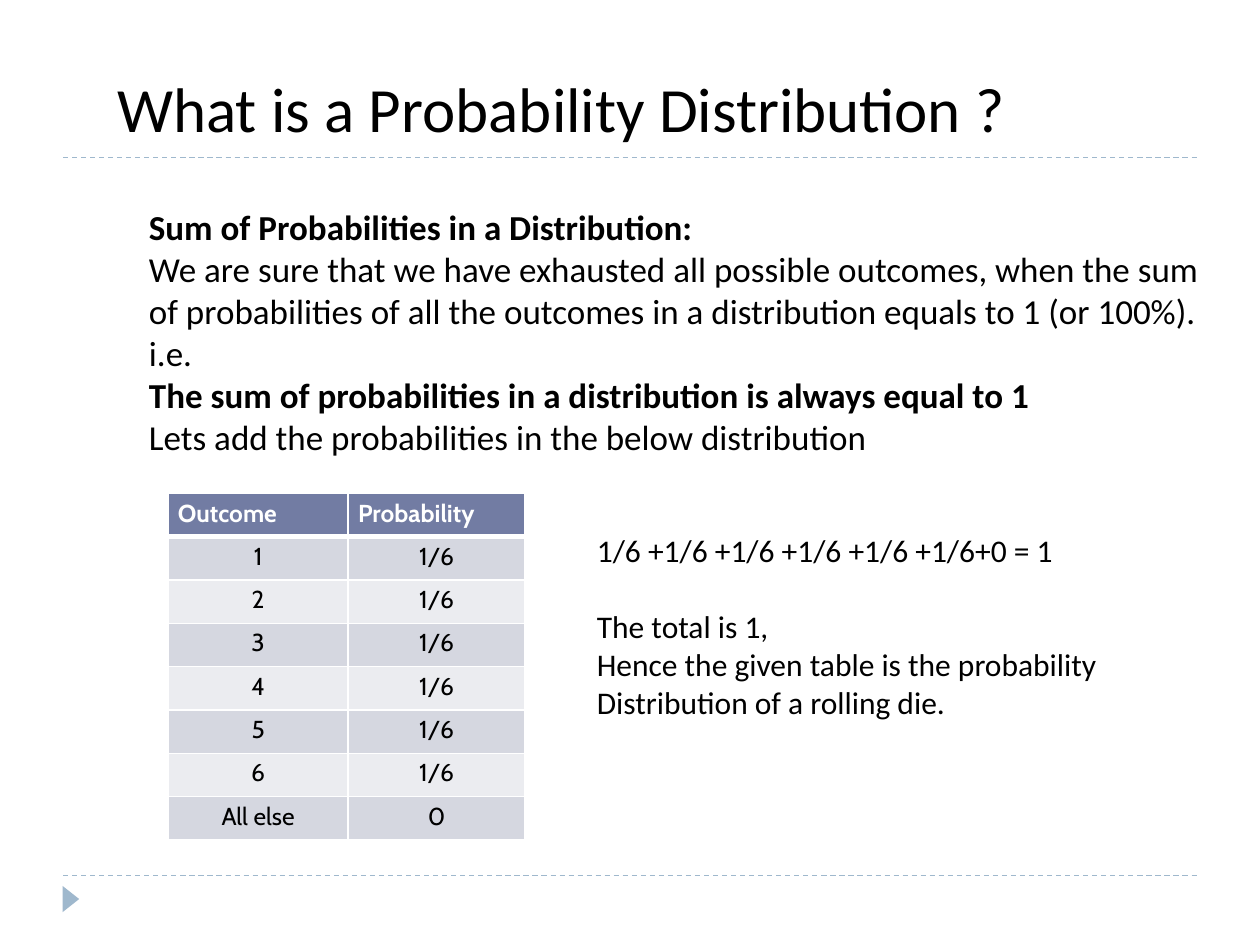
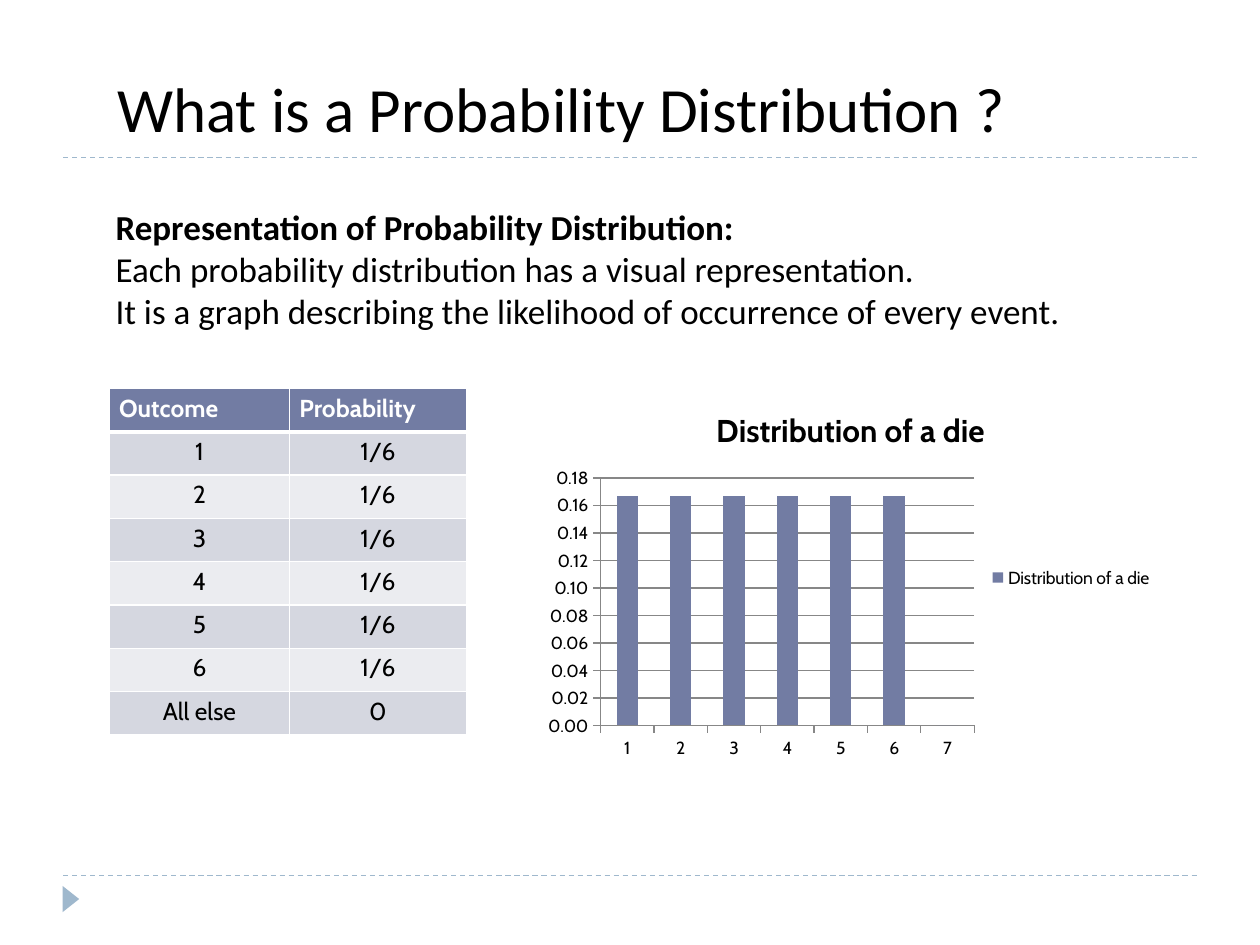
import dataclasses
import typing

import lxml.etree
import pptx
import pptx.chart.data
import pptx.dml.color
import pptx.enum.chart
import pptx.enum.dml
import pptx.enum.shapes
import pptx.enum.text
import pptx.oxml.ns
import pptx.util

Pt = pptx.util.Pt
ALIGN = pptx.enum.text.PP_ALIGN

# Shared look
BLACK, WHITE = "000000", "FFFFFF"
ACCENT, RULE, GRID = "727CA3", "9FB8CD", "878787"
BANDS = ("D5D7E0", "EBECF0")
TEXT_FONT, DATA_FONT = "Calibri", "Cabin"
TITLE = "What is a Probability Distribution ?"
RULE_TOPS = (500.4, 90)

OUTCOMES = [("Outcome", "Probability"),
            *((str(face), "1/6") for face in range(1, 7)),
            ("All else", "0")]
COLUMN_WIDTHS = (103, 101)
ROW_HEIGHT = 24.75


@dataclasses.dataclass(frozen=True)
class Line:
    text: str
    bold: bool = False
    space_before: float = 0


@dataclasses.dataclass(frozen=True)
class TextBlock:
    left: float
    top: float
    width: float
    height: float
    size: float
    lines: tuple[Line, ...]
    align: typing.Any = ALIGN.LEFT


def rgb(value: str) -> pptx.dml.color.RGBColor:
    return pptx.dml.color.RGBColor.from_string(value)


def apply_format(target: typing.Any, values: dict[str, typing.Any]) -> None:
    for name, value in values.items():
        setattr(target, name, value)


def set_font(font: typing.Any, name: str, size: float,
             color: str = BLACK, bold: bool = False) -> None:
    apply_format(font, {"name": name, "size": Pt(size), "bold": bold})
    font.color.rgb = rgb(color)


def set_fill(fill: typing.Any, color: str) -> None:
    fill.solid()
    fill.fore_color.rgb = rgb(color)


def set_line(line: typing.Any, color: str, width: float) -> None:
    line.color.rgb = rgb(color)
    line.width = Pt(width)


def draw_text(slide: typing.Any, block: TextBlock) -> None:
    box = slide.shapes.add_textbox(Pt(block.left), Pt(block.top),
                                   Pt(block.width), Pt(block.height))
    frame = box.text_frame
    apply_format(frame, {"word_wrap": True,
                         "auto_size": pptx.enum.text.MSO_AUTO_SIZE.SHAPE_TO_FIT_TEXT})
    for index, line in enumerate(block.lines):
        paragraph = frame.add_paragraph() if index else frame.paragraphs[0]
        paragraph.alignment = block.align
        if line.space_before:
            paragraph.space_before = Pt(line.space_before)
        run = paragraph.add_run()
        run.text = line.text
        set_font(run.font, TEXT_FONT, block.size, bold=line.bold)


def draw_frame(slide: typing.Any) -> None:
    # Dashed rules, corner marker and title
    for top in RULE_TOPS:
        rule = slide.shapes.add_connector(pptx.enum.shapes.MSO_CONNECTOR.STRAIGHT,
                                          Pt(36), Pt(top), Pt(684), Pt(top))
        set_line(rule.line, RULE, 0.75)
        rule.line.dash_style = pptx.enum.dml.MSO_LINE.DASH
        lxml.etree.SubElement(rule.element.spPr, pptx.oxml.ns.qn("a:effectLst"))
    marker = slide.shapes.add_shape(pptx.enum.shapes.MSO_SHAPE.ISOSCELES_TRIANGLE,
                                    Pt(33), Pt(509), Pt(15), Pt(9.5))
    marker.rotation = 90
    marker.shadow.inherit = False
    set_fill(marker.fill, RULE)
    marker.line.fill.background()
    draw_text(slide, TextBlock(60, 36, 526, 51, 36, (Line(TITLE),)))


def set_borders(cell: typing.Any, widths: dict[str, float]) -> None:
    qn = pptx.oxml.ns.qn
    properties = cell._tc.get_or_add_tcPr()
    for index, (side, width) in enumerate(widths.items()):
        border = lxml.etree.Element(qn(f"a:{side}"), w=str(int(Pt(width))))
        solid = lxml.etree.SubElement(border, qn("a:solidFill"))
        lxml.etree.SubElement(solid, qn("a:srgbClr"), val=WHITE)
        properties.insert(index, border)


def draw_outcomes(slide: typing.Any, left: float, top: float) -> None:
    table = slide.shapes.add_table(len(OUTCOMES), len(COLUMN_WIDTHS), Pt(left), Pt(top),
                                   Pt(sum(COLUMN_WIDTHS)),
                                   Pt(ROW_HEIGHT * len(OUTCOMES))).table
    for column, width in zip(table.columns, COLUMN_WIDTHS):
        column.width = Pt(width)
    for row_index, row in enumerate(OUTCOMES):
        header = row_index == 0
        table.rows[row_index].height = Pt(ROW_HEIGHT)
        for column_index, text in enumerate(row):
            cell = table.cell(row_index, column_index)
            apply_format(cell, {"text": text, "margin_left": Pt(5.6), "margin_right": Pt(5.6),
                                "margin_top": Pt(2.8), "margin_bottom": Pt(2.8)})
            paragraph = cell.text_frame.paragraphs[0]
            paragraph.alignment = ALIGN.LEFT if header else ALIGN.CENTER
            set_font(paragraph.runs[0].font, DATA_FONT, 14, WHITE if header else BLACK, header)
            set_fill(cell.fill, ACCENT if header else BANDS[(row_index - 1) % 2])
            set_borders(cell, {"lnL": 1, "lnR": 1, "lnT": 3 if row_index == 1 else 1,
                               "lnB": 3 if header else 1})


def draw_die_chart(slide: typing.Any) -> None:
    name = "Distribution of a die"
    data = pptx.chart.data.CategoryChartData(number_format="0.00")
    data.categories = [str(position) for position in range(1, 8)]
    data.add_series(name, [0.167] * 6 + [0])
    chart = slide.shapes.add_chart(pptx.enum.chart.XL_CHART_TYPE.COLUMN_CLUSTERED,
                                   Pt(306), Pt(222), Pt(360), Pt(216), data).chart
    set_font(chart.font, DATA_FONT, 10)
    apply_format(chart, {"has_title": True, "has_legend": True})
    title = chart.chart_title.text_frame
    title.text = name
    set_font(title.paragraphs[0].runs[0].font, DATA_FONT, 18, bold=True)
    apply_format(chart.legend, {"position": pptx.enum.chart.XL_LEGEND_POSITION.RIGHT,
                                "include_in_layout": False})
    # Bars
    plot = chart.plots[0]
    apply_format(plot, {"gap_width": 150, "vary_by_categories": False})
    set_fill(plot.series[0].format.fill, ACCENT)
    # Axes
    for axis in (chart.category_axis, chart.value_axis):
        axis.major_tick_mark = pptx.enum.chart.XL_TICK_MARK.OUTSIDE
        set_line(axis.format.line, GRID, 0.75)
    apply_format(chart.value_axis, {"minimum_scale": 0, "maximum_scale": 0.18,
                                    "major_unit": 0.02, "has_major_gridlines": True})
    apply_format(chart.value_axis.tick_labels,
                 {"number_format": "0.00", "number_format_is_linked": False})
    set_line(chart.value_axis.major_gridlines.format.line, GRID, 0.75)


SUM_RULE = TextBlock(78, 114, 625, 152.5, 20, (
    Line("Sum of Probabilities in a Distribution:", bold=True),
    Line("We are sure that we have exhausted all possible outcomes, when the sum"),
    Line("of probabilities of all the outcomes in a distribution equals to 1 (or 100%)."),
    Line("i.e."),
    Line("The sum of probabilities in a distribution is always equal to 1", bold=True),
    Line("Lets add the probabilities in the below distribution"),
), ALIGN.JUSTIFY)

TOTAL = TextBlock(334, 300, 307, 117, 18, (
    Line("1/6 +1/6 +1/6 +1/6 +1/6 +1/6+0 = 1"),
    Line("The total is 1,", space_before=22),
    Line("Hence the given table is the probability"),
    Line("Distribution of a rolling die."),
), ALIGN.JUSTIFY)

REPRESENTATION = TextBlock(59, 114, 559, 80, 20, (
    Line("Representation of Probability Distribution:", bold=True),
    Line("Each probability distribution has a visual representation."),
    Line("It is a graph describing the likelihood of occurrence of every event."),
))


def main() -> None:
    deck = pptx.Presentation()
    apply_format(deck, {"slide_width": Pt(720), "slide_height": Pt(540)})
    sum_slide, graph_slide = (deck.slides.add_slide(deck.slide_layouts[6]) for _ in range(2))

    # Slide 1: the probabilities add up to one
    draw_frame(sum_slide)
    draw_text(sum_slide, SUM_RULE)
    draw_outcomes(sum_slide, 96, 282)
    draw_text(sum_slide, TOTAL)

    # Slide 2: the distribution as a graph
    draw_frame(graph_slide)
    draw_text(graph_slide, REPRESENTATION)
    draw_outcomes(graph_slide, 62.5, 222)
    draw_die_chart(graph_slide)

    deck.save("out.pptx")


if __name__ == "__main__":
    main()
